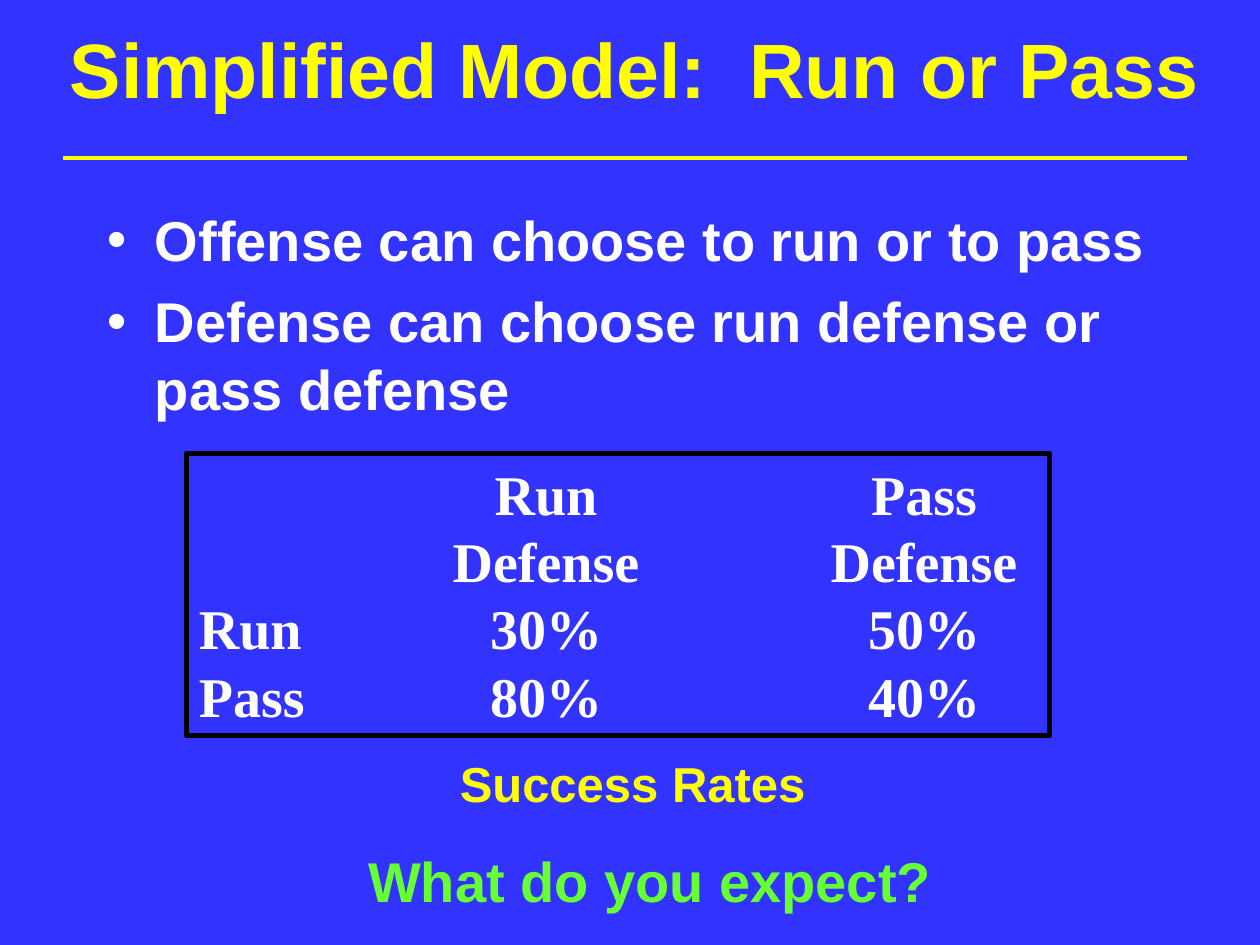
from lxml import etree
from pptx import Presentation
from pptx.dml.color import RGBColor
from pptx.enum.shapes import MSO_CONNECTOR, MSO_SHAPE
from pptx.enum.text import MSO_ANCHOR, MSO_AUTO_SIZE, PP_ALIGN
from pptx.oxml.ns import qn
from pptx.util import Cm, Pt

BLUE = RGBColor(0x33, 0x33, 0xFF)
YELLOW = RGBColor(0xFF, 0xFF, 0x00)
WHITE = RGBColor(0xFF, 0xFF, 0xFF)
GREEN = RGBColor(0x66, 0xFF, 0x33)
BLACK = RGBColor(0x00, 0x00, 0x00)
GRAY = RGBColor(0x80, 0x80, 0x80)

LINE_HEIGHT = 1.2
BULLETS = [
    "Offense can choose to run or to pass",
    "Defense can choose run defense or pass defense",
]
RATES = [
    ("", "Run", "Pass"),
    ("", "Defense", "Defense"),
    ("Run", "30%", "50%"),
    ("Pass", "80%", "40%"),
]


def place(shape, box):
    shape.left, shape.top, shape.width, shape.height = (Cm(length) for length in box)


def format_paragraph(paragraph, size, color, name="Arial"):
    paragraph.line_spacing = Pt(size * LINE_HEIGHT)
    font = paragraph.font
    font.name, font.size, font.bold = name, Pt(size), True
    font.color.rgb = color


def add_text_shadow(paragraph, color, distance):
    """Give each run a hard shadow to the lower right."""
    for run in paragraph.runs:
        run.font.color.rgb = color
        effects = etree.Element(qn("a:effectLst"))
        shadow = etree.SubElement(effects, qn("a:outerShdw"),
                                  dist=str(Pt(distance)), dir="2700000", algn="tl")
        etree.SubElement(shadow, qn("a:srgbClr"), val=str(GRAY))
        run.font._element.find(qn("a:solidFill")).addnext(effects)


def add_bullet(paragraph, indent):
    properties = paragraph._p.get_or_add_pPr()
    properties.set("marL", str(Cm(indent)))
    properties.set("indent", str(-Cm(indent)))
    color = etree.SubElement(properties, qn("a:buClr"))
    etree.SubElement(color, qn("a:srgbClr"), val=str(WHITE))
    etree.SubElement(properties, qn("a:buFont"), typeface="Arial")
    etree.SubElement(properties, qn("a:buChar"), char="•")


def add_center_tabs(paragraph, positions):
    tabs = etree.SubElement(paragraph._p.get_or_add_pPr(), qn("a:tabLst"))
    for position in positions:
        etree.SubElement(tabs, qn("a:tab"), pos=str(Cm(position)), algn="ctr")


def fill_title(slide, box):
    title = slide.shapes.title
    place(title, box)
    frame = title.text_frame
    frame.text = "Simplified Model:  Run or Pass"
    frame.auto_size = MSO_AUTO_SIZE.NONE
    frame.vertical_anchor = MSO_ANCHOR.MIDDLE
    paragraph = frame.paragraphs[0]
    paragraph.alignment = PP_ALIGN.CENTER
    format_paragraph(paragraph, 44, YELLOW)
    add_text_shadow(paragraph, YELLOW, 3)


def add_rule(slide, left, top, width):
    rule = slide.shapes.add_connector(MSO_CONNECTOR.STRAIGHT, Cm(left), Cm(top),
                                      Cm(left + width), Cm(top))
    rule.line.color.rgb = YELLOW
    rule.line.width = Pt(2.25)
    etree.SubElement(rule._element.spPr, qn("a:effectLst"))


def fill_bullets(slide, box):
    body = slide.placeholders[1]
    place(body, box)
    frame = body.text_frame
    frame.text = "\n".join(BULLETS)
    frame.auto_size = MSO_AUTO_SIZE.NONE
    for index, paragraph in enumerate(frame.paragraphs):
        paragraph.space_before = Pt(8 if index else 0)
        add_bullet(paragraph, 0.97)
        format_paragraph(paragraph, 32, WHITE)
        add_text_shadow(paragraph, WHITE, 1.5)


def add_rates(slide, box):
    """Success rates in a frame, with columns centred on tab stops."""
    shape = slide.shapes.add_shape(MSO_SHAPE.RECTANGLE, *(Cm(length) for length in box))
    shape.shadow.inherit = False
    shape.fill.background()
    shape.line.color.rgb = BLACK
    shape.line.width = Pt(3)
    frame = shape.text_frame
    frame.vertical_anchor = MSO_ANCHOR.TOP
    frame.text = "\n".join("\t".join(row) for row in RATES)
    for paragraph in frame.paragraphs:
        paragraph.alignment = PP_ALIGN.LEFT
        add_center_tabs(paragraph, (7, 14.62))
        format_paragraph(paragraph, 32, WHITE, "Times New Roman")


def add_caption(slide, box, text, size, color):
    caption = slide.shapes.add_textbox(*(Cm(length) for length in box))
    frame = caption.text_frame
    frame.word_wrap = False
    frame.auto_size = MSO_AUTO_SIZE.SHAPE_TO_FIT_TEXT
    frame.text = text
    format_paragraph(frame.paragraphs[0], size, color)


def main():
    presentation = Presentation()
    presentation.slide_width, presentation.slide_height = Cm(25.4), Cm(19.05)
    slide = presentation.slides.add_slide(presentation.slide_layouts[1])
    slide.background.fill.solid()
    slide.background.fill.fore_color.rgb = BLUE

    fill_title(slide, (0.84, 0.2, 23.93, 2.34))
    add_rule(slide, 1.27, 3.18, 22.66)
    fill_bullets(slide, (1.9, 4.02, 21.6, 12.9))
    add_rates(slide, (3.76, 9.14, 17.4, 5.69))
    add_caption(slide, (9.02, 15.06, 7.47, 1.45), "Success Rates", 28, YELLOW)
    add_caption(slide, (7.17, 16.94, 11.9, 1.63), "What do you expect?", 32, GREEN)
    presentation.save("out.pptx")


if __name__ == "__main__":
    main()
